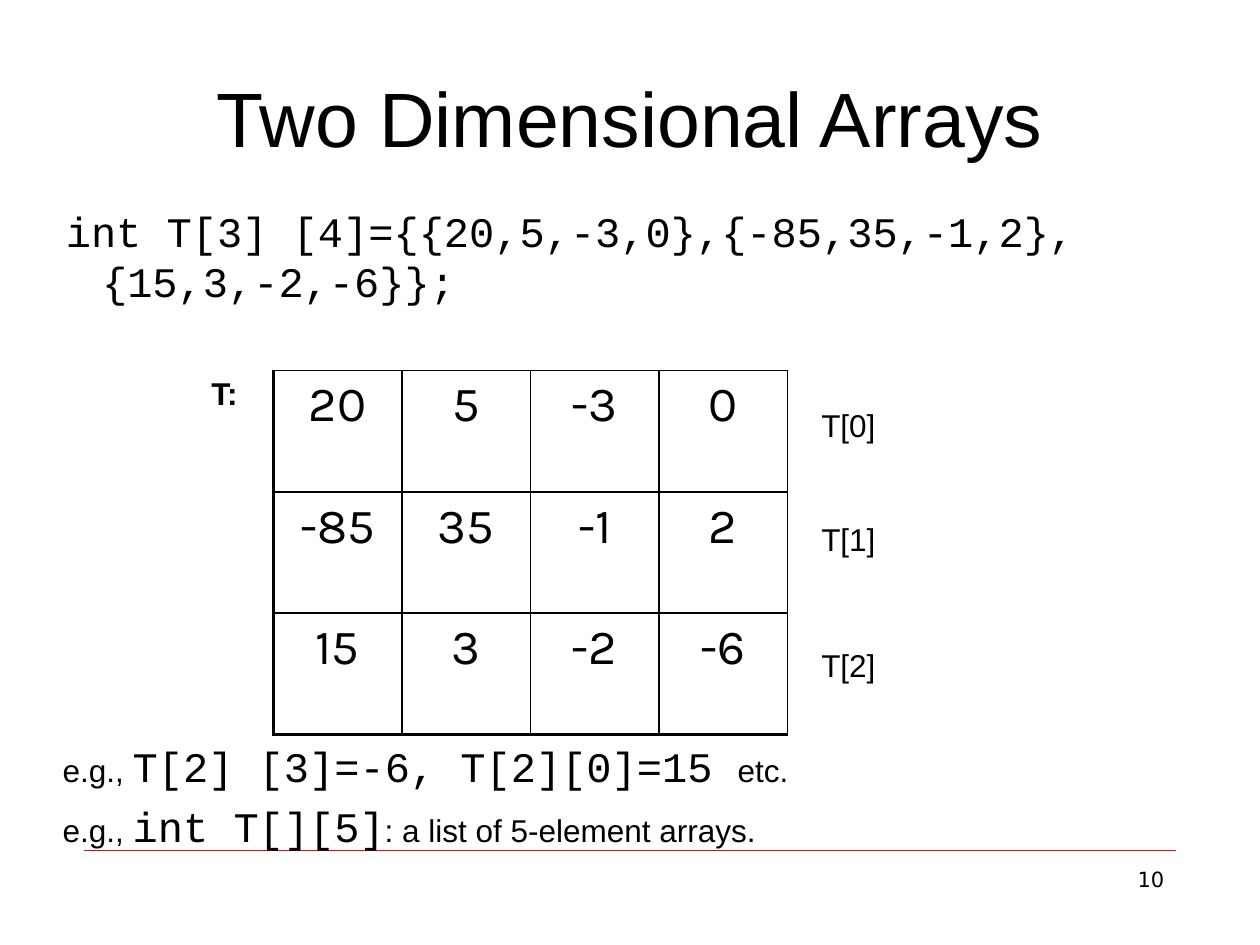
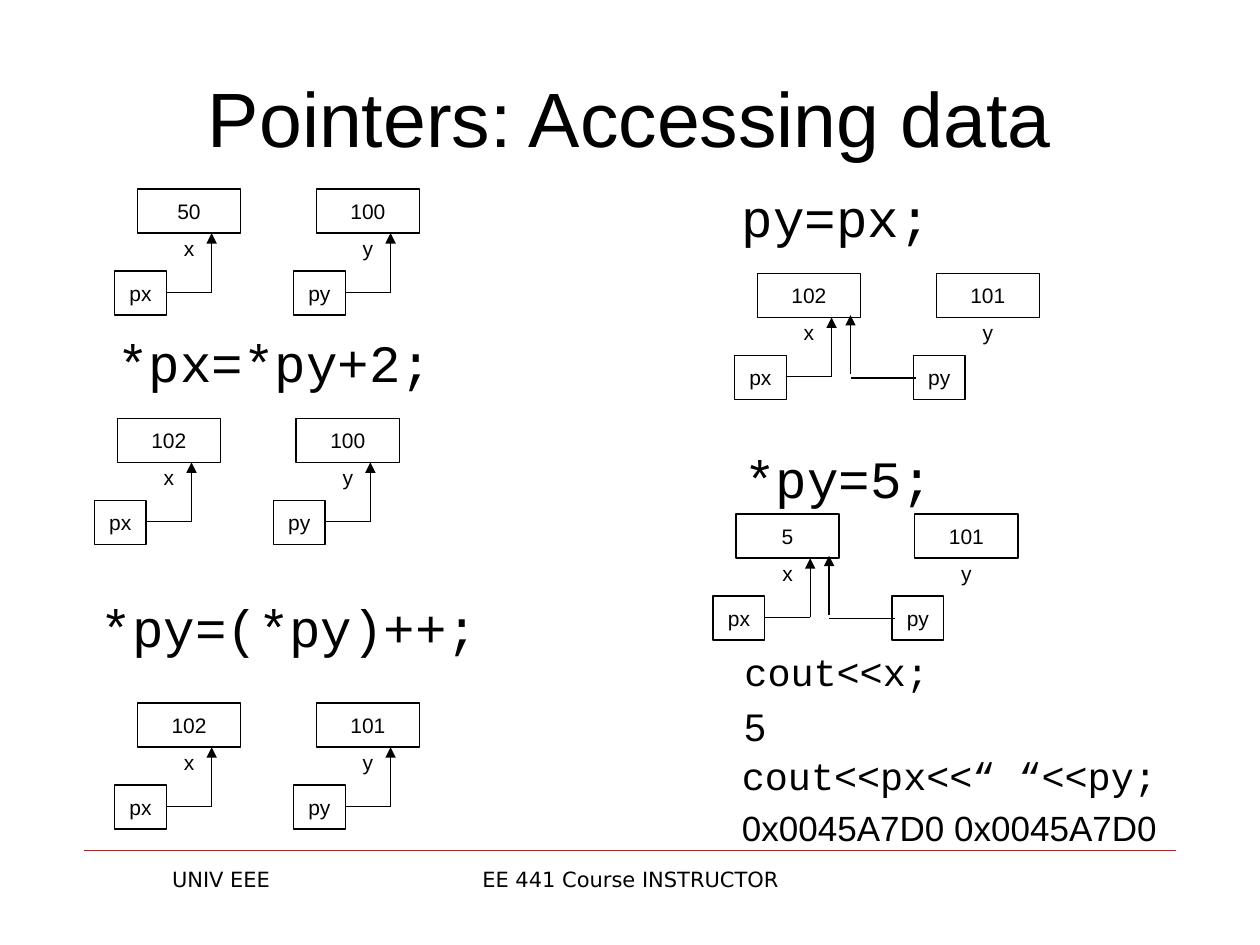
import pptx
import pptx.util
import pptx.dml.color
import pptx.enum.shapes
import pptx.enum.text
import pptx.oxml
import pptx.oxml.ns

Inches = pptx.util.Inches
Pt = pptx.util.Pt
ALIGN = pptx.enum.text.PP_ALIGN
ANCHOR = pptx.enum.text.MSO_ANCHOR
BLACK = pptx.dml.color.RGBColor(0, 0, 0)
RED = pptx.dml.color.RGBColor(255, 0, 0)
SANS, MONO, FOOT, CELL = "Arial", "Courier New", "DejaVu Sans", "Karla"
NS = pptx.oxml.ns.nsdecls("a")

CENTER = {"alignment": ALIGN.CENTER}
RIGHT = {"alignment": ALIGN.RIGHT}
MIDDLE = {"vertical_anchor": ANCHOR.MIDDLE, "word_wrap": False}
HANGING = (0.38, -0.38)
CODE_INDENT = (0.73, -0.36)


def write(tf, paras, para={}, frame={}, before=0, indent=(0, 0), bold=False):
    frame = {"word_wrap": True, "auto_size": pptx.enum.text.MSO_AUTO_SIZE.NONE, **frame}
    for name, value in frame.items():
        setattr(tf, name, value)
    for i, runs in enumerate(paras):
        p = tf.add_paragraph() if i else tf.paragraphs[0]
        size = max(run[1] for run in runs)
        for name, value in {"space_before": Pt(before * size), **para}.items():
            setattr(p, name, value)
        pPr = p._p.get_or_add_pPr()
        pPr.set("marL", str(Inches(indent[0])))
        pPr.set("indent", str(Inches(indent[1])))
        pPr.append(pptx.oxml.parse_xml(f"<a:buNone {NS}/>"))
        for text, size, font in runs:
            r = p.add_run()
            r.text = text
            for name, value in {"size": Pt(size), "name": font, "bold": bold}.items():
                setattr(r.font, name, value)
            r.font.color.rgb = BLACK


def line(shapes, x1, y1, x2, y2, color=BLACK, width=0.75, arrow=False):
    sp = shapes.add_connector(pptx.enum.shapes.MSO_CONNECTOR.STRAIGHT,
                              Inches(x1), Inches(y1), Inches(x2), Inches(y2))
    sp.line.color.rgb = color
    sp.line.width = Pt(width)
    if arrow:
        sp.line._get_or_add_ln().append(pptx.oxml.parse_xml(f'<a:tailEnd {NS} type="triangle"/>'))
    sp._element.spPr.append(pptx.oxml.parse_xml(f"<a:effectLst {NS}/>"))


prs = pptx.Presentation()
prs.slide_width = Inches(10)
prs.slide_height = Inches(7.5)

DECK = [
    ("Two Dimensional Arrays", (0.33, 1.58, 9.67, 0.58),
     [(7.17, 2.17, "10", RIGHT)]),
    ("Pointers: Accessing data", (0.33, 2.57, 3.67, 0.75),
     [(0.67, 2.17, "UNIV EEE", CENTER), (3.42, 3.17, "EE 441 Course INSTRUCTOR", CENTER)]),
]
for title, body, footers in DECK:
    s = prs.slides.add_slide(prs.slide_layouts[1])
    for sp, box in zip(s.placeholders, [(0.5, 0.3, 9, 1.25), body]):
        sp.left, sp.top, sp.width, sp.height = map(Inches, box)
    write(s.shapes.title.text_frame, [[(title, 44, SANS)]], CENTER,
          {"vertical_anchor": ANCHOR.MIDDLE})
    line(s.shapes, 0.67, 6.75, 9.33, 6.75, RED, 0.25)
    for x, w, text, para in footers:
        sp = s.shapes.add_textbox(Inches(x), Inches(6.83), Inches(w), Inches(0.52))
        write(sp.text_frame, [[(text, 12, FOOT)]], para)

arrays, pointers = prs.slides

write(arrays.placeholders[1].text_frame,
      [[(" ", 24, SANS), ("int T[3] [4]={{20,5,-3,0},{-85,35,-1,2},{15,3,-2,-6}};", 24, MONO)]],
      before=0.23, indent=HANGING)

VALUES = [[20, 5, -3, 0], [-85, 35, -1, 2], [15, 3, -2, -6]]
table = arrays.shapes.add_table(3, 4, Inches(2.17), Inches(2.94), Inches(4.08), Inches(2.89)).table
table.first_row = table.horz_banding = False
for i, row in enumerate(VALUES):
    for j, value in enumerate(row):
        cell = table.cell(i, j)
        write(cell.text_frame, [[(str(value), 28, CELL)]], CENTER, before=0.23)
        tcPr = cell._tc.get_or_add_tcPr()
        widths = {"lnL": 1 if j else 2.25, "lnR": 1, "lnT": 1, "lnB": 2.25 if i == 2 else 1}
        for side, width in widths.items():
            tcPr.append(pptx.oxml.parse_xml(
                f'<a:{side} {NS} w="{Pt(width)}"><a:solidFill><a:srgbClr val="{BLACK}"/>'
                f'</a:solidFill></a:{side}>'))
        cell.fill.background()

LABELS = [(1.58, 2.92, 0.58, "T:"), (6.42, 3.17, 1, "T[0]"),
          (6.42, 4.08, 1, "T[1]"), (6.42, 5.08, 1, "T[2]")]
for x, y, w, text in LABELS:
    sp = arrays.shapes.add_textbox(Inches(x), Inches(y), Inches(w), Inches(0.5))
    write(sp.text_frame, [[(text, 18, SANS)]], before=0.57, bold=text == "T:")

sp = arrays.shapes.add_textbox(Inches(0.33), Inches(5.83), Inches(9.33), Inches(1))
write(sp.text_frame,
      [[(" e.g., ", 18, SANS), ("T[2] [3]=-6, T[2][0]=15 ", 24, MONO), ("etc.", 18, SANS)],
       [(" e.g., ", 18, SANS), ("int T[][5]", 24, MONO),
        (": a list of 5-element arrays.", 18, SANS)]],
      before=0.23, indent=HANGING)

write(pointers.placeholders[1].text_frame, [[("*px=*py+2;", 30, MONO)]],
      {"level": 1}, before=0.23, indent=(0.81, -0.31))
CODE = [
    (0.33, 4.67, 3.67, [("*py=(*py)++;", 30, MONO)]),
    (5.42, 1.42, 3.67, [("py=px;", 30, MONO)]),
    (5.44, 3.49, 3.67, [("*py=5;", 30, MONO)]),
    (5.44, 5.09, 3.58, [("cout<<x;", 22, MONO), ("5", 22, SANS)]),
    (5.42, 5.92, 4.33, [("cout<<px<<“ “<<py;", 22, MONO), ("0x0045A7D0 0x0045A7D0", 20, SANS)]),
]
for x, y, w, rows in CODE:
    sp = pointers.shapes.add_textbox(Inches(x), Inches(y), Inches(w), Inches(0.75))
    write(sp.text_frame, [[row] for row in rows], {"level": 1}, before=0.23, indent=CODE_INDENT)

MEMORY = [
    (1.09, 1.5, 50, 100, False),
    (0.93, 3.32, 102, 100, False),
    (1.09, 5.58, 102, 101, False),
    (6.01, 2.17, 102, 101, True),
    (5.84, 4.08, 5, 101, True),
]
for left, y, x_value, y_value, shared in MEMORY:
    for x, name, value in [(left, "x", x_value), (left + 1.42, "y", y_value)]:
        parts = [(x, y, 0.82, 0.35, str(value), True),
                 (x - 0.18, y + 0.65, 0.41, 0.35, "p" + name, True),
                 (x, y + 0.35, 0.82, 0.24, name, False)]
        for px, py, w, h, text, boxed in parts:
            box = Inches(px), Inches(py), Inches(w), Inches(h)
            if boxed:
                sp = pointers.shapes.add_shape(pptx.enum.shapes.MSO_SHAPE.RECTANGLE, *box)
                sp.shadow.inherit = False
                sp.fill.background()
                sp.line.color.rgb = BLACK
                sp.line.width = Pt(0.75)
            else:
                sp = pointers.shapes.add_textbox(*box)
            write(sp.text_frame, [[(text, 12, SANS)]], CENTER, MIDDLE)
        if shared and name == "y":
            line(pointers.shapes, left + 0.74, y + 0.83, left + 1.26, y + 0.83)
            line(pointers.shapes, left + 0.74, y + 0.8, left + 0.74, y + 0.33, arrow=True)
        else:
            line(pointers.shapes, x + 0.23, y + 0.82, x + 0.59, y + 0.82)
            line(pointers.shapes, x + 0.59, y + 0.82, x + 0.59, y + 0.35, arrow=True)

prs.save("out.pptx")
